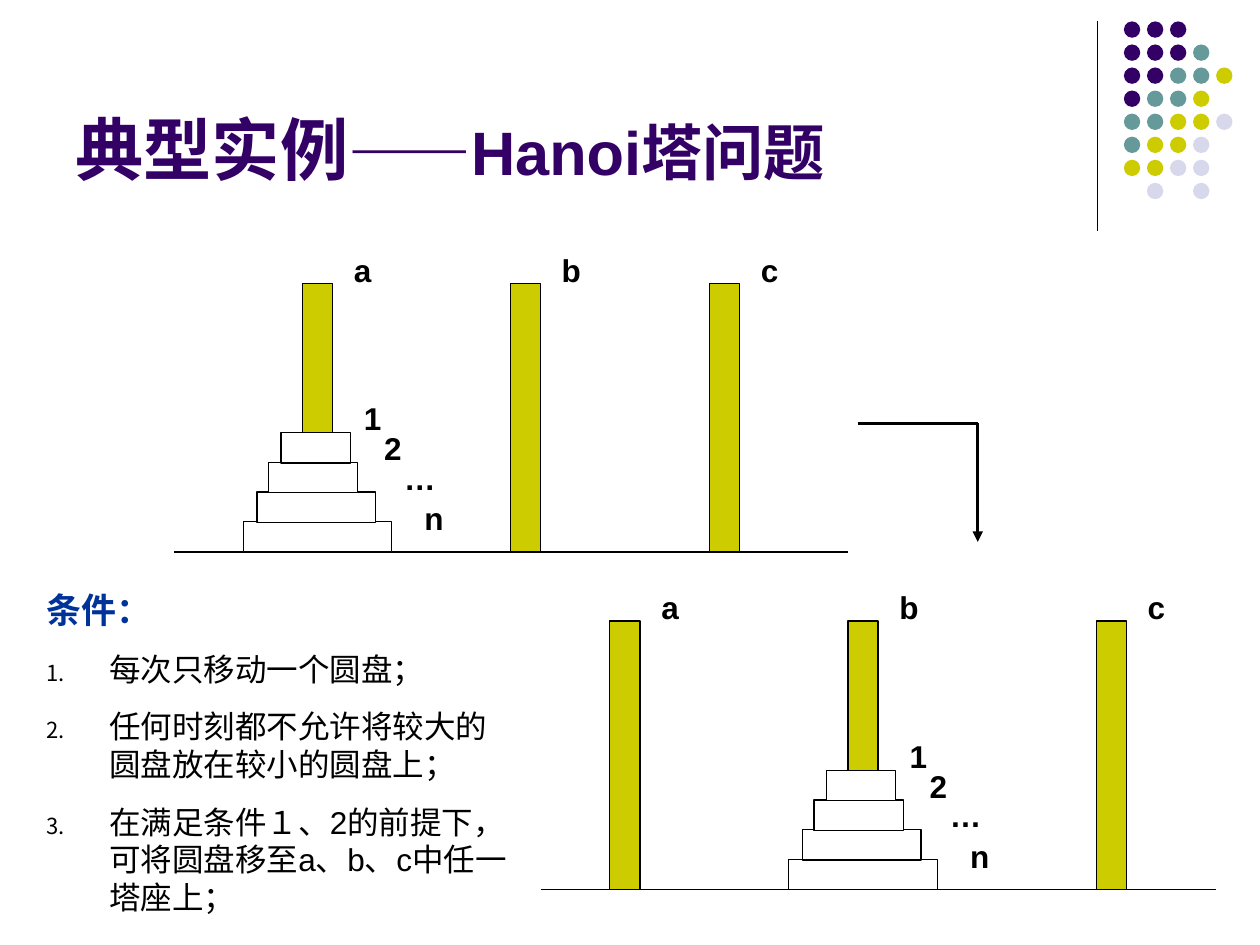
from pptx import Presentation, util as u
from pptx.dml.color import RGBColor
from pptx.enum import shapes, text
from pptx.oxml.ns import qn
from lxml import etree

THEME = {
    "font": "Arial", "ink": "000000", "title": "330066", "head": "003399",
    "peg": "CCCC00", "disk": "FFFFFF",
    "dots": {"P": "330066", "T": "669999", "Y": "CCCC00", "L": "D8D8EC"},
    "big": 39, "mid": 35, "sub": 20, "body": 18,
}
TITLE = [("典型实例", THEME["big"]), ("——Hanoi塔问题", THEME["mid"])]
HEAD = "条件："
RULES = [
    "每次只移动一个圆盘；",
    "任何时刻都不允许将较大的圆盘放在较小的圆盘上；",
    "在满足条件１、2的前提下，可将圆盘移至a、b、c中任一塔座上；",
]
DOTS = ["PPP", "PPPT", "PPTTY", "PTTY", "TTYYL", "TYYL", "YYLL", " L L"]
TOWERS = [
    {"left": 1.38, "right": 6.73, "base": 4.38, "pegs": [2.4, 4.05, 5.63], "full": 0},
    {"left": 4.29, "right": 9.65, "base": 7.06, "pegs": [4.84, 6.73, 8.7], "full": 1},
]
PEGS = ["a", "b", "c"]
DISKS = [(-0.47, 1.18), (-0.36, 0.94), (-0.27, 0.71), (-0.17, 0.55)]
MARKS = [("1", 1.26), ("2", 1.02), ("…", 0.79), ("n", 0.47)]
PEG_W, PEG_H, DISK_H, STEP = 0.24, 2.13, 0.24, 0.235

deck = Presentation()
deck.slide_width, deck.slide_height = u.Inches(10), u.Inches(7.5)
slide = deck.slides.add_slide(deck.slide_layouts[6])


def color(name):
    return RGBColor.from_string(name)


def add_line(x1, y1, x2, y2, width=0.75, arrow=False):
    line = slide.shapes.add_connector(
        shapes.MSO_CONNECTOR.STRAIGHT, *map(u.Inches, (x1, y1, x2, y2)))
    line.line.color.rgb = color(THEME["ink"])
    line.line.width = u.Pt(width)
    if arrow:
        etree.SubElement(line.line._get_or_add_ln(), qn("a:tailEnd"), type="triangle")
    etree.SubElement(line._element.spPr, qn("a:effectLst"))


def add_block(kind, box, fill, edge=True):
    block = slide.shapes.add_shape(kind, *map(u.Inches, box))
    block.shadow.inherit = False
    block.fill.solid()
    block.fill.fore_color.rgb = color(fill)
    if edge:
        block.line.color.rgb = color(THEME["ink"])
        block.line.width = u.Pt(0.75)
    else:
        block.line.fill.background()


def add_frame(*box):
    frame = slide.shapes.add_textbox(*map(u.Inches, box)).text_frame
    frame.word_wrap = True
    return frame


def style(run, size, shade, bold=True):
    run.font.name = THEME["font"]
    run.font.size = u.Pt(size)
    run.font.bold = bold
    run.font.color.rgb = color(shade)


def add_label(words, x, y, width):
    frame = add_frame(x, y, width, 0.4)
    frame.text = words
    style(frame.paragraphs[0].runs[0], THEME["body"], THEME["ink"])


def add_number(para):
    props = para._p.get_or_add_pPr()
    tint = etree.SubElement(props, qn("a:buClr"))
    etree.SubElement(tint, qn("a:srgbClr"), val=THEME["ink"])
    etree.SubElement(props, qn("a:buSzPct"), val="70000")
    etree.SubElement(props, qn("a:buAutoNum"), type="arabicPeriod")


def add_tower(left, right, base, pegs, full):
    rect = shapes.MSO_SHAPE.RECTANGLE
    add_line(left, base, right, base)
    for name, x in zip(PEGS, pegs):
        add_block(rect, (x, base - PEG_H, PEG_W, PEG_H), THEME["peg"])
        add_label(name, x + 0.31, base - 2.44, 0.39)
    home = pegs[full]
    for i, (shift, width) in enumerate(DISKS):
        top = base - DISK_H - i * STEP
        add_block(rect, (home + shift, top, width, DISK_H), THEME["disk"])
    for i, (mark, rise) in enumerate(MARKS):
        add_label(mark, home + 0.39 + i * 0.16, base - rise, 0.31)


add_line(8.71, 0.17, 8.71, 1.83)
for row, codes in enumerate(DOTS):
    for col, code in enumerate(codes):
        if code in THEME["dots"]:
            spot = (8.92 + col * 0.183, 0.17 + row * 0.183, 0.13, 0.13)
            add_block(shapes.MSO_SHAPE.OVAL, spot, THEME["dots"][code], edge=False)

frame = add_frame(0.5, 0.13, 8.25, 1.42)
frame.vertical_anchor = text.MSO_ANCHOR.BOTTOM
for words, size in TITLE:
    run = frame.paragraphs[0].add_run()
    run.text = words
    style(run, size, THEME["title"])

for tower in TOWERS:
    add_tower(**tower)

add_line(6.81, 3.36, 7.76, 3.36, 1.5)
add_line(7.76, 3.36, 7.76, 4.3, 1.5, arrow=True)

frame = add_frame(0.27, 4.62, 3.86, 2.71)
frame.text = HEAD
style(frame.paragraphs[0].runs[0], THEME["sub"], THEME["head"])
for rule in RULES:
    para = frame.add_paragraph()
    para.text = rule
    para.space_before = u.Pt(11.2)
    add_number(para)
    style(para.runs[0], THEME["body"], THEME["ink"], bold=False)
for para in frame.paragraphs:
    props = para._p.get_or_add_pPr()
    props.set("marL", str(u.Inches(0.5)))
    props.set("indent", str(-u.Inches(0.5)))

deck.save("out.pptx")
